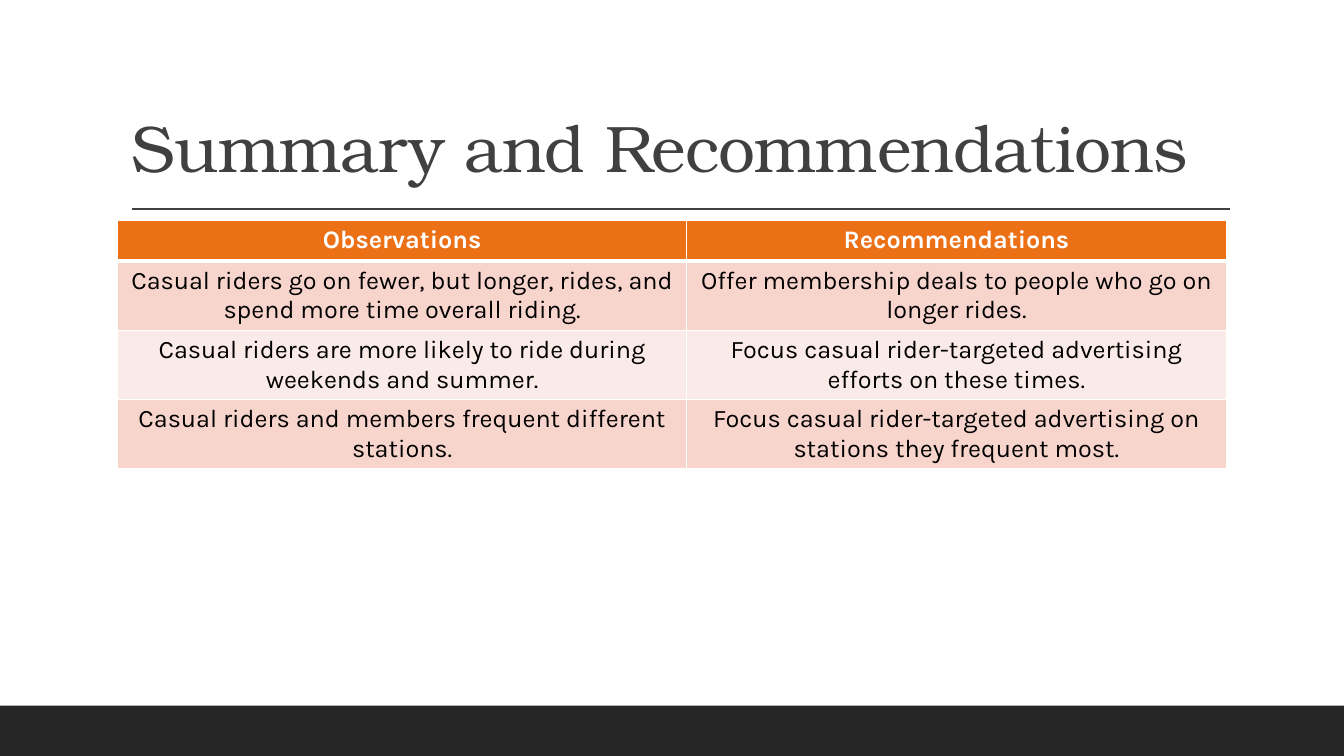
from lxml.etree import SubElement
from pptx import Presentation
from pptx.dml.color import RGBColor
from pptx.enum.shapes import MSO_CONNECTOR, MSO_SHAPE
from pptx.enum.text import MSO_ANCHOR, MSO_AUTO_SIZE, PP_ALIGN
from pptx.oxml import parse_xml
from pptx.oxml.ns import nsdecls, qn
from pptx.util import Cm, Pt

WHITE = RGBColor(0xFF, 0xFF, 0xFF)
BLACK = RGBColor(0, 0, 0)
CHARCOAL = RGBColor(0x26, 0x26, 0x26)
GREY = RGBColor(0x40, 0x40, 0x40)
ORANGE = RGBColor(0xEC, 0x70, 0x16)
ROSE = RGBColor(0xF8, 0xD5, 0xCC)
BLUSH = RGBColor(0xFB, 0xEB, 0xE8)

FINDINGS = [
    ("Observations", "Recommendations"),
    ("Casual riders go on fewer, but longer, rides, and spend more time overall riding.",
     "Offer membership deals to people who go on longer rides."),
    ("Casual riders are more likely to ride during weekends and summer.",
     "Focus casual rider-targeted advertising efforts on these times."),
    ("Casual riders and members frequent different stations.",
     "Focus casual rider-targeted advertising on stations they frequent most."),
]


class SlideBuilder:
    title_font = {"name": "TeX Gyre Bonum", "size": Pt(47), "bold": False}
    table_font = {"name": "Karla", "size": Pt(18)}

    def __init__(self, page):
        self.page = page

    def apply(self, target, values):
        for name, value in values.items():
            setattr(target, name, value)

    def add_text(self, para, text, color, font, align):
        para.alignment = align
        span = para.add_run()
        span.text = text
        self.apply(span.font, font)
        span.font.color.rgb = color
        return span

    def title(self, text, left, top, width, height):
        box = self.page.shapes.title
        self.apply(box, {"left": left, "top": top, "width": width, "height": height})
        self.apply(box.text_frame, {"vertical_anchor": MSO_ANCHOR.BOTTOM,
                                    "auto_size": MSO_AUTO_SIZE.NONE,
                                    "word_wrap": True})
        para = box.text_frame.paragraphs[0]
        para.line_spacing = 0.9
        span = self.add_text(para, text, GREY, self.title_font, PP_ALIGN.LEFT)
        span.font._element.set("spc", "-50")

    def bar(self, color, left, top, width, height):
        box = self.page.shapes.add_shape(MSO_SHAPE.RECTANGLE, left, top, width, height)
        box.shadow.inherit = False
        box.fill.solid()
        box.fill.fore_color.rgb = color
        box.line.fill.background()

    def rule(self, color, left, top, right):
        line = self.page.shapes.add_connector(MSO_CONNECTOR.STRAIGHT, left, top, right, top)
        line.line.color.rgb = color
        line.line.width = Pt(1)
        SubElement(line._element.spPr, qn("a:effectLst"))

    def borders(self, cell, bottom, top):
        properties = cell._tc.get_or_add_tcPr()
        widths = {"lnL": 1, "lnR": 1, "lnT": top, "lnB": bottom}
        for index, (side, width) in enumerate(widths.items()):
            properties.insert(index, parse_xml(
                f'<a:{side} {nsdecls("a")} w="{Pt(width)}"><a:solidFill>'
                f'<a:srgbClr val="{WHITE}"/></a:solidFill></a:{side}>'))

    def table(self, rows, left, top, widths, row_height):
        grid = self.page.shapes.add_table(len(rows), len(widths), left, top,
                                          sum(widths), row_height * len(rows)).table
        for column, width in zip(grid.columns, widths):
            column.width = width
        for index, texts in enumerate(rows):
            header = index == 0
            fill = ORANGE if header else (BLUSH, ROSE)[index % 2]
            font = {**self.table_font, "bold": header}
            for column, text in enumerate(texts):
                cell = grid.cell(index, column)
                cell.fill.solid()
                cell.fill.fore_color.rgb = fill
                self.borders(cell, 3 if header else 1, 3 if index == 1 else 1)
                self.add_text(cell.text_frame.paragraphs[0], text,
                              WHITE if header else BLACK, font, PP_ALIGN.CENTER)


def main():
    deck = Presentation()
    deck.slide_width, deck.slide_height = Cm(33.87), Cm(19.05)
    builder = SlideBuilder(deck.slides.add_slide(deck.slide_layouts[5]))
    builder.bar(CHARCOAL, 0, Cm(17.78), deck.slide_width, Cm(1.27))
    builder.rule(GREY, Cm(3.32), Cm(5.27), Cm(31))
    builder.title("Summary and Recommendations", Cm(3.06), Cm(0.8), Cm(27.94), Cm(4.03))
    builder.table(FINDINGS, Cm(2.97), Cm(5.55), [Cm(14.33), Cm(13.61)], Cm(1.03))
    deck.save("out.pptx")


if __name__ == "__main__":
    main()
